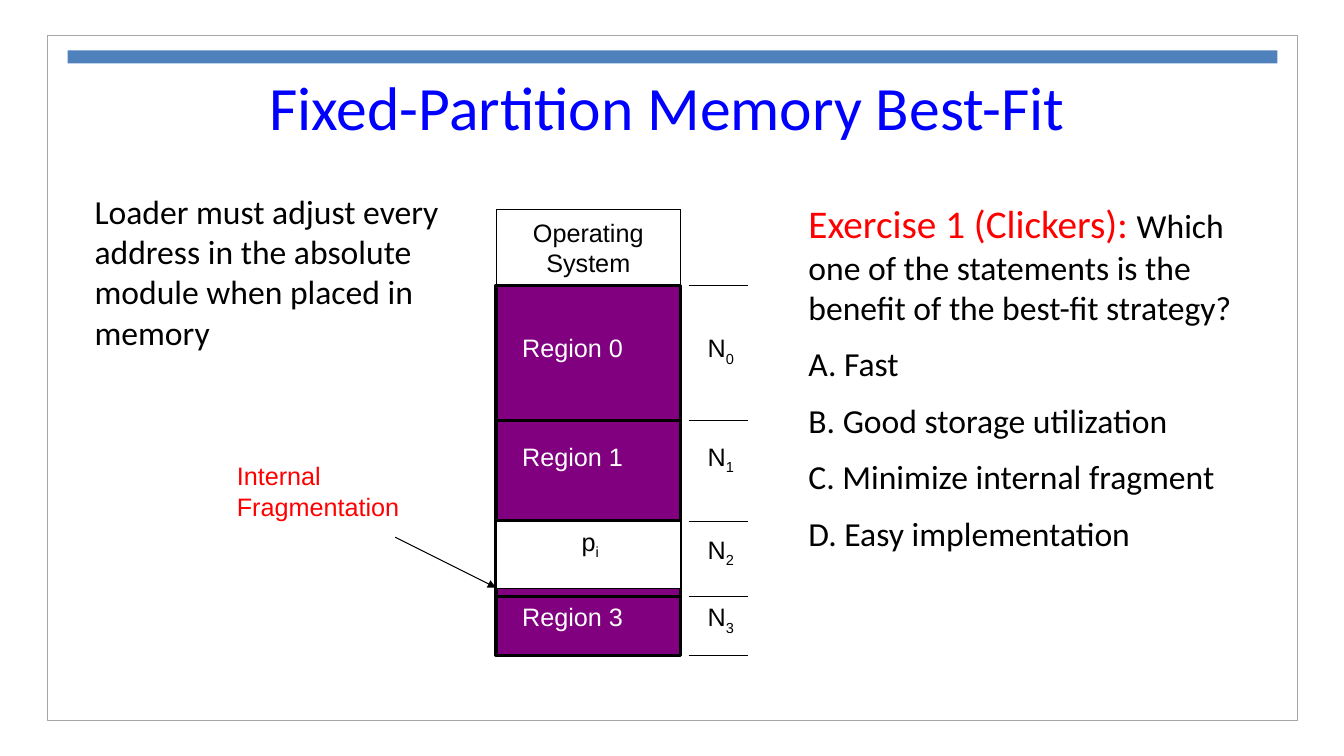
"""Build the slide on fixed-partition memory with best-fit placement."""
from lxml import etree
from pptx import Presentation
from pptx.dml.color import RGBColor
from pptx.enum.shapes import MSO_CONNECTOR, MSO_SHAPE
from pptx.enum.text import MSO_ANCHOR, MSO_AUTO_SIZE, PP_ALIGN
from pptx.oxml.ns import qn
from pptx.util import Inches, Pt

RECTANGLE = MSO_SHAPE.RECTANGLE
STRAIGHT = MSO_CONNECTOR.STRAIGHT
LEFT, CENTER = PP_ALIGN.LEFT, PP_ALIGN.CENTER
TOP, MIDDLE = MSO_ANCHOR.TOP, MSO_ANCHOR.MIDDLE
NO_FIT = MSO_AUTO_SIZE.NONE
color = RGBColor.from_string

BLACK, WHITE, RED, BLUE, PURPLE = "000000", "FFFFFF", "FF0000", "0000FF", "800080"
STACK_LEFT, STACK_WIDTH, STACK_TOP = 4.92, 1.83, 2.08
EDGES = [2.83, 4.17, 5.17, 5.92, 6.5]

LABEL = {"name": "Arial", "size": Pt(18), "color": BLACK}
REGION = LABEL | {"color": WHITE}
CALLOUT = LABEL | {"color": RED}
INDEX = LABEL | {"baseline": "-25000"}
TITLE = {"name": "Calibri", "size": Pt(44), "color": BLUE}
BODY = {"name": "Calibri", "size": Pt(24), "color": BLACK}
EXERCISE = {"name": "Calibri", "size": Pt(28), "color": RED}

deck = Presentation()
deck.slide_width, deck.slide_height = Inches(13.33), Inches(7.5)
page = deck.slides.add_slide(deck.slide_layouts[6])


def add_block(at, fill=None, line=None, weight=0.75):
    block = page.shapes.add_shape(RECTANGLE, *map(Inches, at))
    block.shadow.inherit = False
    if fill:
        block.fill.solid()
        block.fill.fore_color.rgb = color(fill)
    else:
        block.fill.background()
    if line:
        block.line.color.rgb = color(line)
        block.line.width = Pt(weight)
    else:
        block.line.fill.background()
    return block


def write(box, paragraphs, align=LEFT, anchor=TOP, wrap=False, gap=0):
    frame = box.text_frame
    settings = {"word_wrap": wrap, "auto_size": NO_FIT, "vertical_anchor": anchor}
    for name, value in settings.items():
        setattr(frame, name, value)
    for number, spans in enumerate(paragraphs):
        para = frame.add_paragraph() if number else frame.paragraphs[0]
        para.alignment = align
        para.space_before = Pt(gap if number else 0)
        for text, formats in spans:
            span = para.add_run()
            span.text = text
            for name, value in formats.items():
                if name == "color":
                    span.font.color.rgb = color(value)
                elif name == "baseline":
                    span._r.get_or_add_rPr().set(name, value)
                else:
                    setattr(span.font, name, value)


add_block((0.47, 0.35, 12.4, 6.8), line="A6A6A6", weight=1)
add_block((0.67, 0.5, 12, 0.13), fill="4F81BD")
add_block((STACK_LEFT, STACK_TOP, STACK_WIDTH, EDGES[-1] - STACK_TOP), PURPLE, BLACK)
system = add_block((STACK_LEFT, STACK_TOP, STACK_WIDTH, EDGES[0] - STACK_TOP), WHITE, BLACK)
write(system, [[("Operating", LABEL)], [("System", LABEL)]], CENTER, MIDDLE)
for top, bottom in zip(EDGES, EDGES[1:]):
    add_block((STACK_LEFT, top, STACK_WIDTH, bottom - top), line=BLACK, weight=2.25)
add_block((STACK_LEFT, EDGES[2], STACK_WIDTH, 0.67), WHITE, BLACK)

labels = [((5.67, EDGES[2], 0.38, 0.4), [("p", LABEL), ("i", INDEX)])]
for number, top in enumerate([3.25, 4.33, 5.25, 5.92]):
    labels.append(((6.92, top, 0.48, 0.4), [("N", LABEL), (str(number), INDEX)]))
    if number != 2:
        labels.append(((5.08, top, 1.21, 0.4), [(f"Region {number}", REGION)]))
for at, spans in labels:
    write(page.shapes.add_textbox(*map(Inches, at)), [spans])

question = "Which one of the statements is the benefit of the best-fit strategy?"
answers = ["A. Fast", "B. Good storage utilization", "C. Minimize internal fragment",
           "D. Easy implementation"]
loader = "Loader must adjust every address in the absolute module when placed in memory"
texts = [
    ((1.83, 0.42, 9.58, 1.25), [[("Fixed-Partition Memory Best-Fit", TITLE)]],
     {"align": CENTER, "anchor": MIDDLE}),
    ((2.25, 4.52, 2.25, 0.71), [[("Internal", CALLOUT)], [("Fragmentation", CALLOUT)]], {}),
    ((0.84, 1.84, 4.33, 1.72), [[(loader, BODY)]], {}),
    ((7.92, 1.93, 4.67, 3.8),
     [[("Exercise 1 (Clickers): ", EXERCISE), (question, BODY)]]
     + [[(answer, BODY)] for answer in answers], {"gap": 11.5}),
]
for at, paragraphs, options in texts:
    write(page.shapes.add_textbox(*map(Inches, at)), paragraphs, wrap=True, **options)

ticks = [(6.83, edge, 7.42, edge) for edge in EDGES]
for ends in ticks + [(3.92, 5.33, STACK_LEFT, 5.83)]:
    rule = page.shapes.add_connector(STRAIGHT, *map(Inches, ends))
    rule.line.color.rgb = color(BLACK)
    rule.line.width = Pt(0.75)
    etree.SubElement(rule._element.spPr, qn("a:effectLst"))
etree.SubElement(rule.line._get_or_add_ln(), qn("a:tailEnd"), type="triangle")

deck.save("out.pptx")
